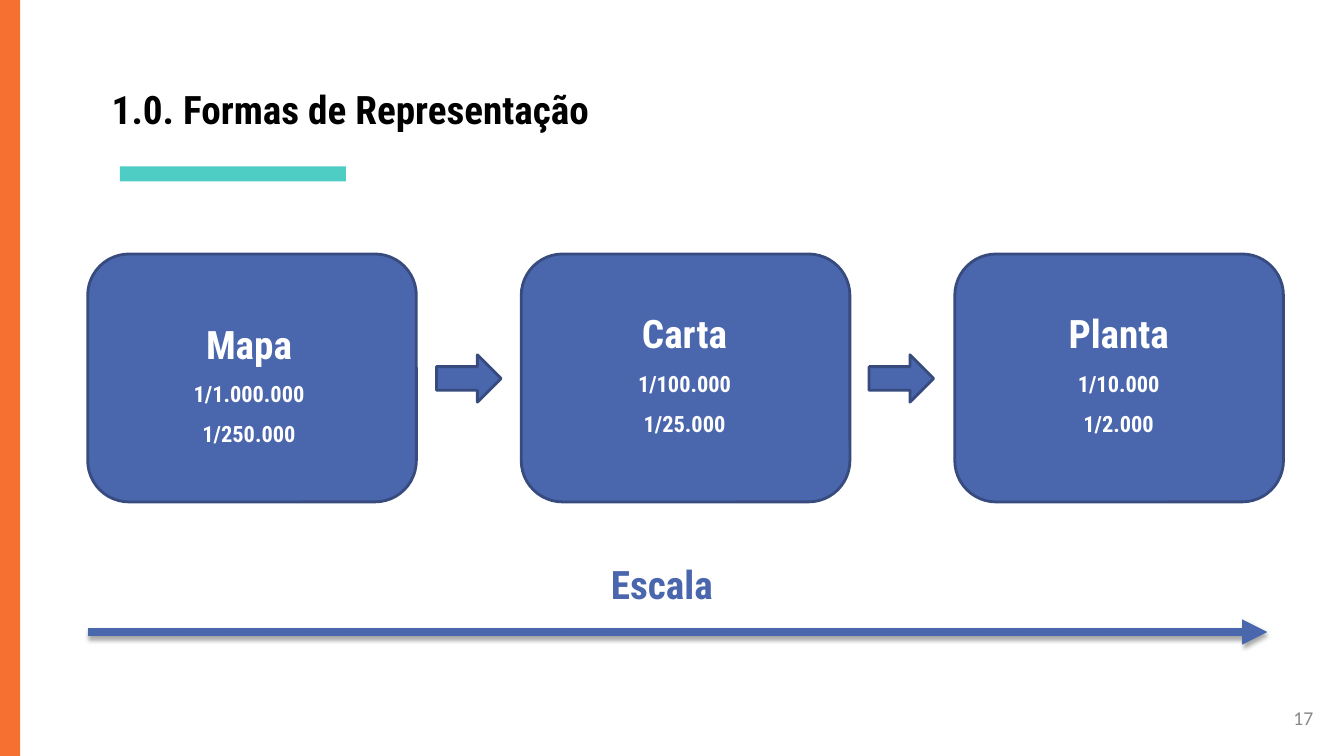
import lxml.etree
import pptx
import pptx.dml.color
import pptx.enum.shapes
import pptx.enum.text
import pptx.oxml
import pptx.oxml.ns
import pptx.util

Inches = pptx.util.Inches
Pt = pptx.util.Pt
MSO_SHAPE = pptx.enum.shapes.MSO_SHAPE
PP_ALIGN = pptx.enum.text.PP_ALIGN
MSO_ANCHOR = pptx.enum.text.MSO_ANCHOR

COLORS = {
    "orange": "F67031",
    "teal": "4ECDC4",
    "blue": "4A66AC",
    "outline": "374B7F",
    "title": "000000",
    "white": "FFFFFF",
    "number": "898989",
}
RGB = {name: pptx.dml.color.RGBColor.from_string(c) for name, c in COLORS.items()}


def add_block(s, kind, left, top, width, height, fill, outline=None):
    shape = s.shapes.add_shape(
        kind, Inches(left), Inches(top), Inches(width), Inches(height))
    shape.shadow.inherit = False
    shape.fill.solid()
    shape.fill.fore_color.rgb = RGB[fill]
    if outline:
        shape.line.color.rgb = RGB[outline]
        shape.line.width = Pt(2)
    else:
        shape.line.fill.background()


def add_text(s, left, top, width, height, lines, color, align=PP_ALIGN.CENTER,
             font="Roboto Condensed", bold=True, spacing=None):
    """Add a text box; lines holds one (text, size) pair per paragraph."""
    box = s.shapes.add_textbox(
        Inches(left), Inches(top), Inches(width), Inches(height))
    tf = box.text_frame
    tf.word_wrap = True
    tf.text = "\n".join(text for text, size in lines)
    for p, (text, size) in zip(tf.paragraphs, lines):
        p.alignment = align
        p.line_spacing = spacing
        f = p.runs[0].font
        f.name = font
        f.size = Pt(size)
        f.bold = bold
        f.color.rgb = RGB[color]
    return tf


prs = pptx.Presentation()
prs.slide_width = Inches(13.33)
prs.slide_height = Inches(7.5)
s = prs.slides.add_slide(prs.slide_layouts[6])

# Side band, title and slide number
add_block(s, MSO_SHAPE.RECTANGLE, 0, 0, 0.2, 7.5, "orange")
add_block(s, MSO_SHAPE.RECTANGLE, 1.19, 1.65, 2.24, 0.15, "teal")
tf = add_text(s, 1.01, 0.69, 11.32, 0.72, [("1.0. Formas de Representação", 28)],
              "title", PP_ALIGN.LEFT)
tf.vertical_anchor = MSO_ANCHOR.BOTTOM
tf.margin_top = tf.margin_bottom = Inches(0.1)
add_text(s, 12.73, 6.95, 0.6, 0.4, [("17", 14)], "number", PP_ALIGN.LEFT,
         "Calibri", False)

# Scale arrow
add_text(s, 5.48, 5.51, 2.17, 0.57, [("Escala", 28)], "blue")
scale = s.shapes.add_connector(
    pptx.enum.shapes.MSO_CONNECTOR.STRAIGHT,
    Inches(0.87), Inches(6.27), Inches(12.57), Inches(6.27))
scale.line.color.rgb = RGB["blue"]
scale.line.width = Pt(6)
ln = scale.line._get_or_add_ln()
lxml.etree.SubElement(ln, pptx.oxml.ns.qn("a:tailEnd"), type="triangle")
scale._element.spPr.append(pptx.oxml.parse_xml(
    f'<a:effectLst {pptx.oxml.ns.nsdecls("a")}>'
    '<a:outerShdw blurRad="40000" dist="23000" dir="5400000" rotWithShape="0">'
    '<a:srgbClr val="000000"><a:alpha val="35000"/></a:srgbClr>'
    '</a:outerShdw></a:effectLst>'))

# Three forms of representation: name, text left, top and width, scales
forms = [
    ("Mapa", 1.19, 2.89, 2.56, ["1/1.000.000", "1/250.000"]),
    ("Carta", 5.51, 2.79, 2.56, ["1/100.000", "1/25.000"]),
    ("Planta", 9.99, 2.79, 2.21, ["1/10.000", "1/2.000"]),
]
for i, (name, left, top, width, scales) in enumerate(forms):
    add_block(s, MSO_SHAPE.ROUNDED_RECTANGLE, 0.87 + 4.3 * i, 2.52, 3.26, 2.46,
              "blue", "outline")
    lines = [(name, 28)] + [(value, 16) for value in scales]
    add_text(s, left, top, width, 1.51, lines, "white", spacing=1.5)

for i in range(len(forms) - 1):
    add_block(s, MSO_SHAPE.RIGHT_ARROW, 4.33 + 4.29 * i, 3.52, 0.64, 0.47,
              "blue", "outline")

prs.save("out.pptx")
